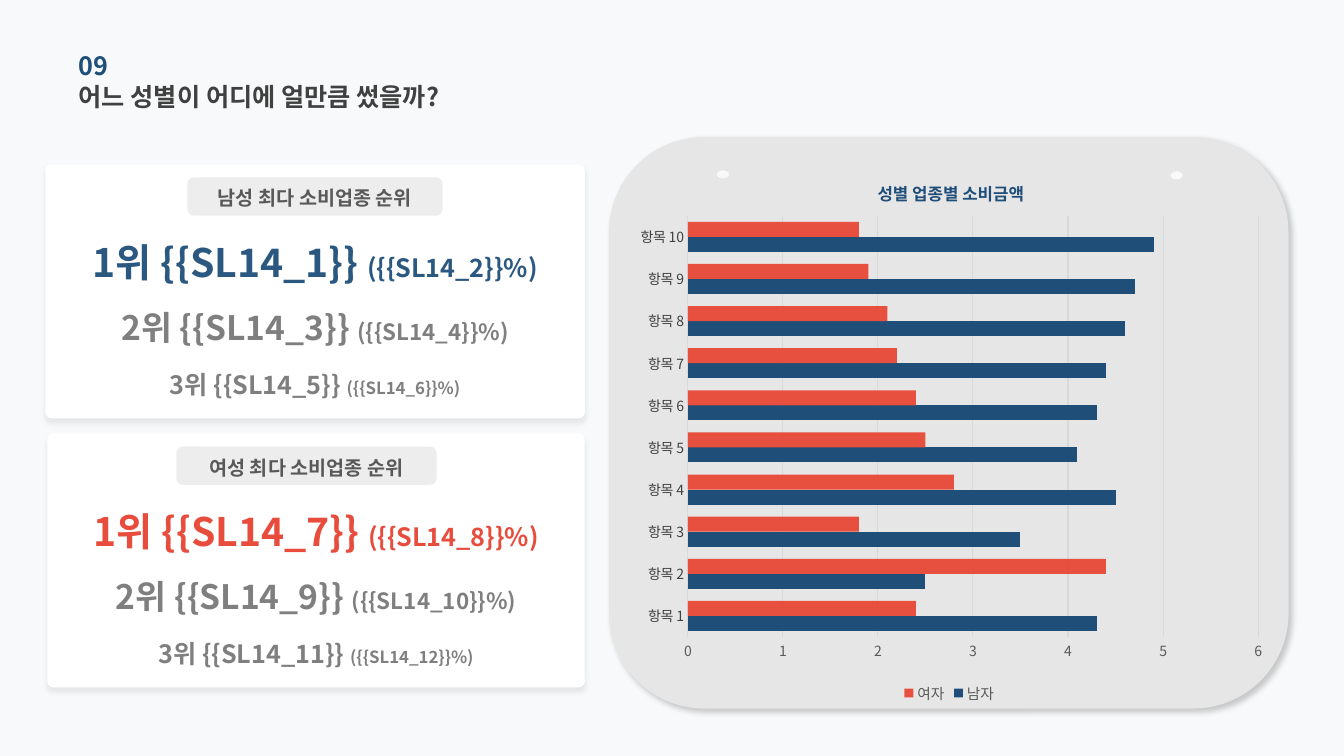
from lxml.etree import SubElement
from pptx import Presentation
from pptx.chart.data import CategoryChartData
from pptx.dml.color import RGBColor
from pptx.enum.chart import XL_CHART_TYPE, XL_LEGEND_POSITION, XL_TICK_MARK
from pptx.enum.shapes import MSO_SHAPE
from pptx.enum.text import MSO_ANCHOR, PP_ALIGN
from pptx.oxml import parse_xml
from pptx.oxml.ns import nsdecls, qn
from pptx.util import Inches, Pt

FONT = "Noto Sans CJK KR"
BACKGROUND = RGBColor(0xF8, 0xF9, 0xFA)
WHITE = RGBColor(0xFF, 0xFF, 0xFF)
BLACK = RGBColor(0x00, 0x00, 0x00)
BOARD = RGBColor(0xE7, 0xE6, 0xE6)
PILL = RGBColor(0xD0, 0xCE, 0xCE)
GRID = RGBColor(0xD9, 0xD9, 0xD9)
NAVY = RGBColor(0x1F, 0x4E, 0x79)
BLUE = RGBColor(0x2B, 0x58, 0x80)
RED = RGBColor(0xE7, 0x4C, 0x3C)
GRAY = RGBColor(0x7F, 0x7F, 0x7F)
LABEL = RGBColor(0x59, 0x59, 0x59)
DARK = RGBColor(0x40, 0x40, 0x40)


def style_font(font, size, color, bold=False):
    font.size = Pt(size)
    font.bold = bold
    font.name = FONT
    font.color.rgb = color
    latin = font._rPr.find(qn("a:latin"))
    latin.addnext(parse_xml(f'<a:ea {nsdecls("a")} typeface="{FONT}"/>'))


def set_alpha(fill_parent, percent):
    color = fill_parent.find(qn("a:solidFill"))[0]
    SubElement(color, qn("a:alpha")).set("val", str(percent * 1000))


def add_shadow(shape, alpha, angle):
    effects = shape._element.spPr.find(qn("a:effectLst"))
    effects.append(parse_xml(
        f'<a:outerShdw {nsdecls("a")} blurRad="{Pt(4)}" dist="{Pt(3)}" '
        f'dir="{angle * 60000}" algn="ctr" rotWithShape="0">'
        f'<a:srgbClr val="000000"><a:alpha val="{alpha * 1000}"/></a:srgbClr>'
        '</a:outerShdw>'))


def add_plain(shapes, kind, box, color):
    shape = shapes.add_shape(kind, *map(Inches, box))
    shape.shadow.inherit = False
    shape.fill.solid()
    shape.fill.fore_color.rgb = color
    shape.line.fill.background()
    return shape


def add_text(shapes, box, parts, color, align=PP_ALIGN.LEFT):
    frame = shapes.add_textbox(*map(Inches, box)).text_frame
    frame.word_wrap = True
    frame.vertical_anchor = MSO_ANCHOR.MIDDLE
    frame.margin_left = frame.margin_right = 0
    frame.margin_top = frame.margin_bottom = 0
    paragraph = frame.paragraphs[0]
    paragraph.alignment = align
    for words, size in parts:
        run = paragraph.add_run()
        run.text = words
        style_font(run.font, size, color, True)


def add_heading(slide, box):
    left, top, width, height = box
    add_text(slide.shapes, (left, top + 0.31, width, height),
             [("어느 성별이 어디에 얼만큼 썼을까?", 18)], DARK)
    add_text(slide.shapes, box, [("09", 18)], NAVY)


def add_ranking(slide, box, title, pill_left, pill_width, first_tag, accent):
    left, top, width, height = box
    shapes = slide.shapes.add_group_shape().shapes
    card = add_plain(shapes, MSO_SHAPE.ROUNDED_RECTANGLE, box, WHITE)
    card.adjustments[0] = 0.023
    add_shadow(card, 8, 90)

    rows = [(0.73, 0.48, 28, 18, accent),
            (1.19, 0.84, 24, 16, GRAY),
            (1.76, 0.84, 18, 12, GRAY)]
    for index, (offset, row_height, size, share_size, color) in enumerate(rows):
        tag = first_tag + 2 * index
        add_text(shapes, (left, top + offset, width, row_height),
                 [(f"{index + 1}위 {{{{SL14_{tag}}}}} ", size),
                  (f"({{{{SL14_{tag + 1}}}}}%)", share_size)],
                 color, PP_ALIGN.CENTER)

    pill_box = (left + pill_left, top + 0.13, pill_width, 0.38)
    pill = add_plain(shapes, MSO_SHAPE.ROUNDED_RECTANGLE, pill_box, PILL)
    set_alpha(pill._element.spPr, 36)
    add_text(shapes, (left + pill_left, top + 0.13, pill_width, 0.41),
             [(title, 14)], LABEL, PP_ALIGN.CENTER)


def set_layout(parent, before, target, **fractions):
    layout = parent.find(qn("c:layout"))
    if layout is not None:
        parent.remove(layout)
    inner = '<c:layoutTarget val="inner"/>' if target else ""
    modes = "".join(f'<c:{key}Mode val="edge"/>' for key in "xy")
    places = "".join(f'<c:{key} val="{value}"/>' for key, value in fractions.items())
    layout = parse_xml(f'<c:layout {nsdecls("c")}><c:manualLayout>'
                       f'{inner}{modes}{places}</c:manualLayout></c:layout>')
    if before is None:
        parent.insert(0, layout)
    else:
        before.addnext(layout)


def add_spending_chart(slide, box):
    spending = CategoryChartData()
    spending.categories = [f"항목 {number}" for number in range(1, 11)]
    spending.add_series("남자", (4.3, 2.5, 3.5, 4.5, 4.1, 4.3, 4.4, 4.6, 4.7, 4.9))
    spending.add_series("여자", (2.4, 4.4, 1.8, 2.8, 2.5, 2.4, 2.2, 2.1, 1.9, 1.8))
    chart = slide.shapes.add_chart(
        XL_CHART_TYPE.BAR_CLUSTERED, *map(Inches, box), spending).chart
    chart.font.size = Pt(10)
    chart.font.name = "Calibri"
    chart.font.color.rgb = BLACK

    chart.has_title = True
    heading = chart.chart_title.text_frame
    heading.text = "성별 업종별 소비금액"
    style_font(heading.paragraphs[0].runs[0].font, 12, NAVY, True)
    title = chart.chart_title._element
    set_layout(title, title.find(qn("c:tx")), False, x=0.385, y=0.04)
    chart.chart_title.include_in_layout = False

    plot = chart.plots[0]
    plot.gap_width = 80
    plot.overlap = 0
    plot.vary_by_categories = False
    for series, color in zip(plot.series, (NAVY, RED)):
        series.format.fill.solid()
        series.format.fill.fore_color.rgb = color
    set_alpha(plot.series[1]._element.spPr, 98)
    set_layout(plot._element.getparent(), None, True, x=0.098, y=0.113, w=0.877, h=0.76)

    items, amounts = chart.category_axis, chart.value_axis
    for axis, color in ((items, DARK), (amounts, LABEL)):
        axis.major_tick_mark = XL_TICK_MARK.NONE
        axis.minor_tick_mark = XL_TICK_MARK.NONE
        style_font(axis.tick_labels.font, 10, color)
    amounts.minimum_scale = 0
    amounts.maximum_scale = 6
    amounts.major_unit = 1
    amounts.has_major_gridlines = True
    amounts.format.line.fill.background()
    for line in (items.format.line, amounts.major_gridlines.format.line):
        line.color.rgb = GRID
        line.width = Pt(0.75)

    chart.has_legend = True
    chart.legend.position = XL_LEGEND_POSITION.BOTTOM
    chart.legend.include_in_layout = False
    style_font(chart.legend.font, 10.5, LABEL)


def add_board(slide, box):
    left, top, width, height = box
    board = add_plain(slide.shapes, MSO_SHAPE.ROUNDED_RECTANGLE, box, BOARD)
    add_shadow(board, 20, 45)
    for x, y in ((1.07, 0.33), (5.57, 0.34)):
        add_plain(slide.shapes, MSO_SHAPE.OVAL,
                  (left + x, top + y, 0.12, 0.08), BACKGROUND)
    add_spending_chart(slide, (left + 0.15, top + 0.16, 6.45, 5.5))


def main():
    deck = Presentation()
    deck.slide_width = Inches(13.33)
    deck.slide_height = Inches(7.5)
    slide = deck.slides.add_slide(deck.slide_layouts[6])
    slide.background.fill.solid()
    slide.background.fill.fore_color.rgb = BACKGROUND
    add_heading(slide, (0.78, 0.44, 4.52, 0.41))
    add_ranking(slide, (0.45, 1.63, 5.35, 2.52), "남성 최다 소비업종 순위",
                1.41, 2.53, 1, BLUE)
    add_ranking(slide, (0.47, 4.3, 5.33, 2.52), "여성 최다 소비업종 순위",
                1.28, 2.58, 7, RED)
    add_board(slide, (6.04, 1.36, 6.74, 5.67))
    deck.save("out.pptx")


if __name__ == "__main__":
    main()
